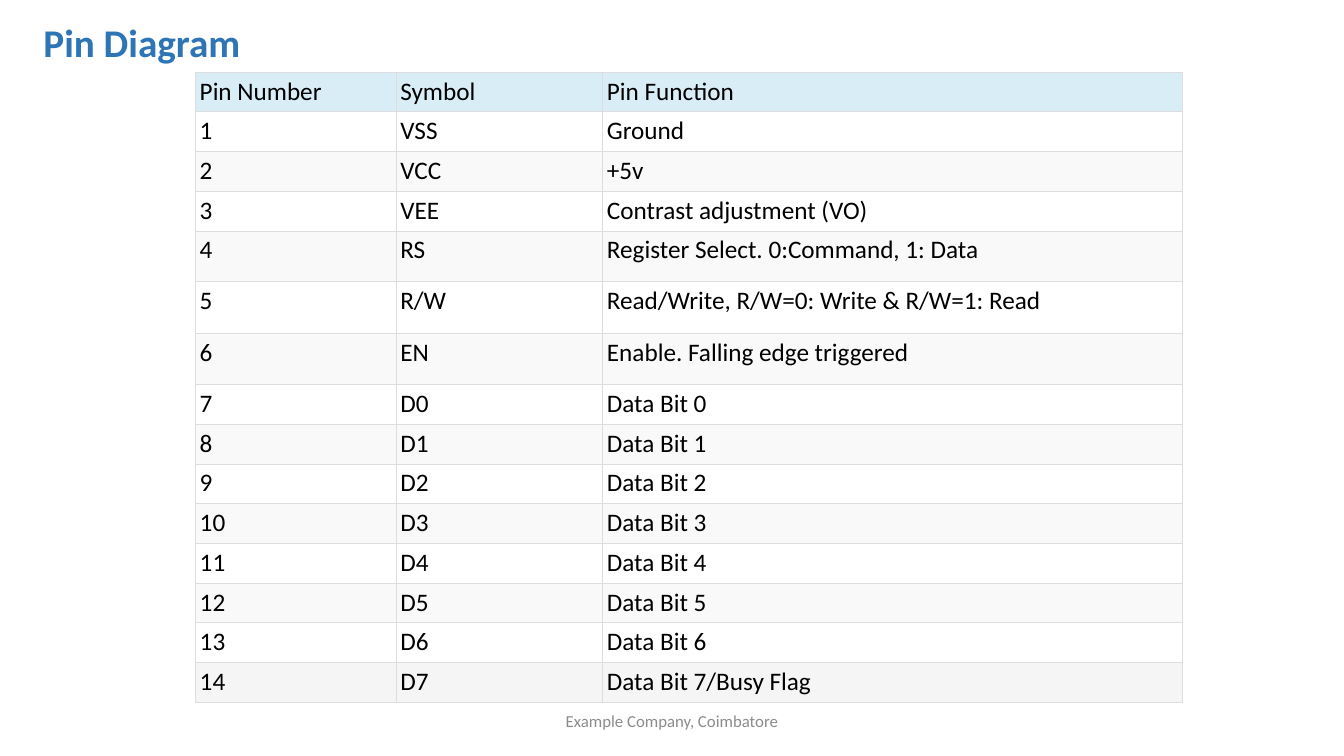
import lxml.etree
import pptx
import pptx.dml.color
import pptx.enum.text
import pptx.oxml.ns
import pptx.util

# Grid of square units covering the slide
GRID_COLUMNS = 160
SLIDE_WIDTH = pptx.util.Inches(13.33)
SLIDE_HEIGHT = pptx.util.Inches(7.5)

FONT = "Calibri"
COLOURS = {
    "title": "2E75B6",
    "text": "000000",
    "footer": "8C8C8C",
    "header": "D9EDF7",
    "odd": "FFFFFF",
    "even": "F9F9F9",
    "last": "F5F5F5",
    "border": "DDDDDD",
}

# Table content
HEADER = ("Pin Number", "Symbol", "Pin Function")
PINS = [
    ("VSS", "Ground"),
    ("VCC", "+5v"),
    ("VEE", "Contrast adjustment (VO)"),
    ("RS", "Register Select. 0:Command, 1: Data"),
    ("R/W", "Read/Write, R/W=0: Write & R/W=1: Read"),
    ("EN", "Enable. Falling edge triggered"),
    *[(f"D{bit}", f"Data Bit {bit}") for bit in range(7)],
    ("D7", "Data Bit 7/Busy Flag"),
]

# Table sizes in grid units
COLUMN_WIDTHS = (23.88, 24.6, 69)
ROW_HEIGHT = 4.73
TALL_ROWS = {4: 6, 5: 6.2, 6: 6.1}


def grid(units):
    return pptx.util.Emu(round(units * SLIDE_WIDTH / GRID_COLUMNS))


def colour(name):
    return pptx.dml.color.RGBColor.from_string(COLOURS[name])


def write_text(frame, text, size=18, color="text", bold=False,
               align=pptx.enum.text.PP_ALIGN.LEFT, line_spacing=None):
    paragraph = frame.paragraphs[0]
    paragraph.alignment = align
    paragraph.line_spacing = line_spacing
    run = paragraph.add_run()
    run.text = text
    run.font.name = FONT
    run.font.size = pptx.util.Pt(size)
    run.font.bold = bold
    run.font.color.rgb = colour(color)


def add_label(slide, box, text, anchor, **text_format):
    frame = slide.shapes.add_textbox(*map(grid, box)).text_frame
    frame.word_wrap = True
    frame.vertical_anchor = anchor
    write_text(frame, text, **text_format)


def add_borders(cell):
    properties = cell._tc.get_or_add_tcPr()
    for position, side in enumerate(("lnL", "lnR", "lnT", "lnB")):
        line = lxml.etree.Element(pptx.oxml.ns.qn(f"a:{side}"), w=str(pptx.util.Pt(0.75)))
        fill = lxml.etree.SubElement(line, pptx.oxml.ns.qn("a:solidFill"))
        lxml.etree.SubElement(fill, pptx.oxml.ns.qn("a:srgbClr"), val=COLOURS["border"])
        properties.insert(position, line)


def fill_cell(cell, text, fill):
    cell.margin_left = cell.margin_right = pptx.util.Inches(0.04)
    cell.margin_top = cell.margin_bottom = pptx.util.Inches(0.04)
    cell.fill.solid()
    cell.fill.fore_color.rgb = colour(fill)
    add_borders(cell)
    write_text(cell.text_frame, text)


def row_fill(index):
    if index == 0:
        return "header"
    if index == len(PINS):
        return "last"
    return "odd" if index % 2 else "even"


def add_pin_table(slide, left, top):
    rows = [HEADER] + [(str(number), *pin) for number, pin in enumerate(PINS, 1)]
    heights = [TALL_ROWS.get(index, ROW_HEIGHT) for index in range(len(rows))]
    table = slide.shapes.add_table(
        len(rows), len(HEADER), grid(left), grid(top),
        grid(sum(COLUMN_WIDTHS)), grid(sum(heights))).table
    table.first_row = table.horz_banding = False
    for column, width in zip(table.columns, COLUMN_WIDTHS):
        column.width = grid(width)
    for index, (row, texts) in enumerate(zip(table.rows, rows)):
        row.height = grid(heights[index])
        for cell, text in zip(row.cells, texts):
            fill_cell(cell, text, row_fill(index))


def main():
    presentation = pptx.Presentation()
    presentation.slide_width = SLIDE_WIDTH
    presentation.slide_height = SLIDE_HEIGHT
    slide = presentation.slides.add_slide(presentation.slide_layouts[6])

    # Footer, table and title
    add_label(slide, (53, 83.4, 54, 4.8), "Example Company, Coimbatore",
              pptx.enum.text.MSO_ANCHOR.MIDDLE, size=12, color="footer",
              align=pptx.enum.text.PP_ALIGN.CENTER)
    add_pin_table(slide, 23.3, 8.6)
    add_label(slide, (4, 2, 87, 6.5), "Pin Diagram",
              pptx.enum.text.MSO_ANCHOR.BOTTOM, size=28, color="title",
              bold=True, line_spacing=0.9)

    presentation.save("out.pptx")


if __name__ == "__main__":
    main()
